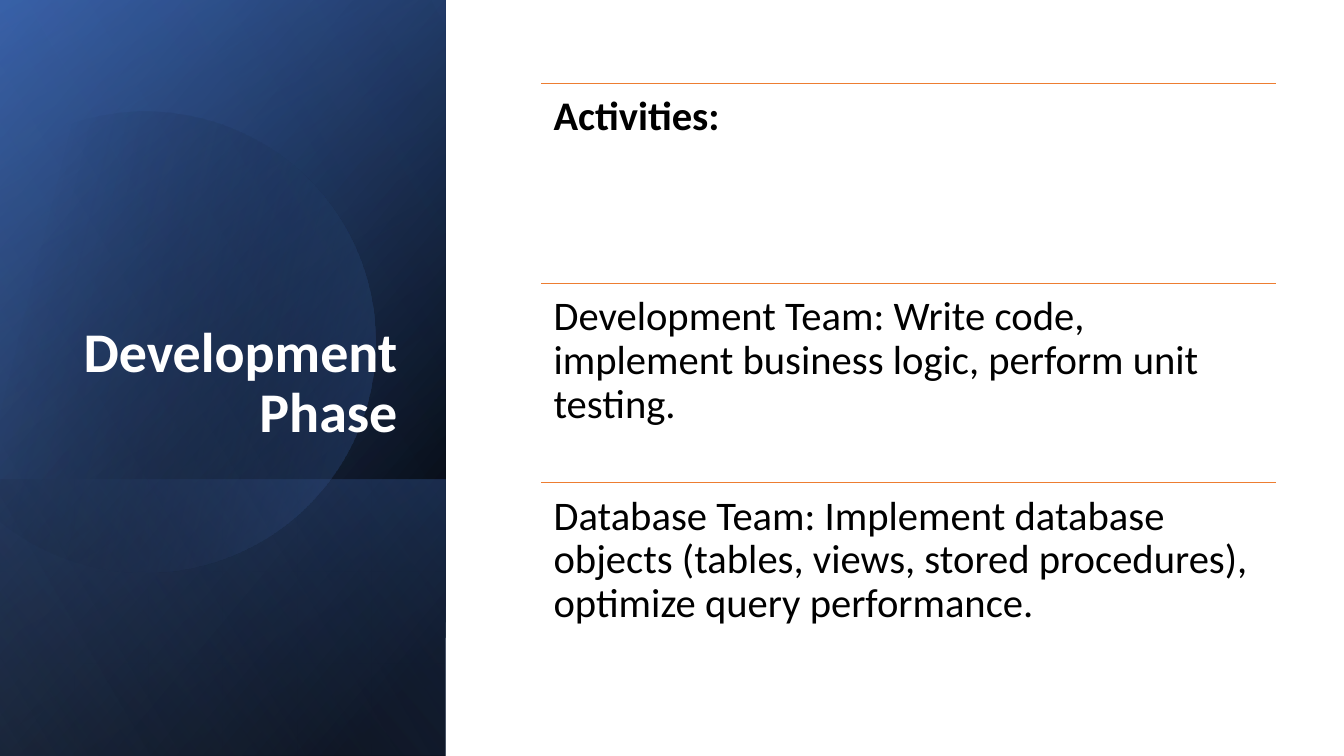
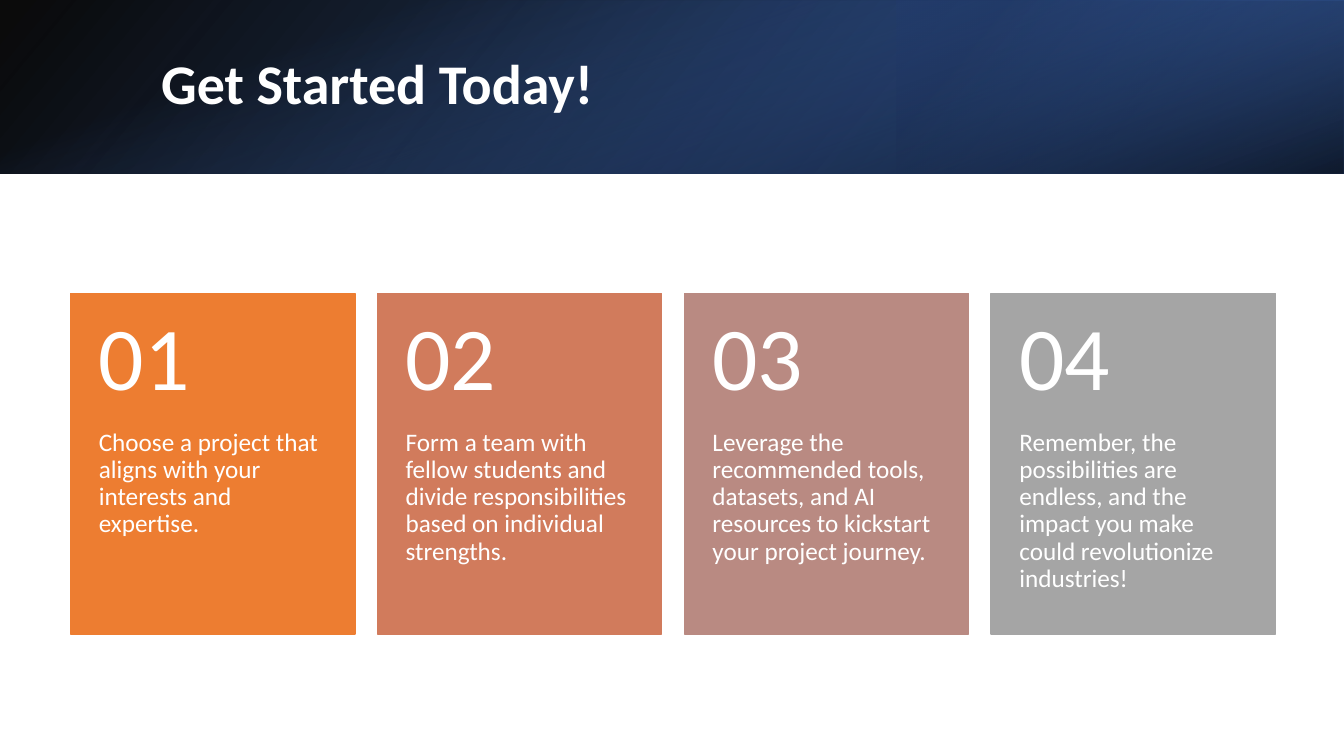
from pptx import Presentation
from pptx.dml.color import RGBColor
from pptx.enum.shapes import MSO_CONNECTOR, MSO_SHAPE
from pptx.enum.text import MSO_ANCHOR as Anchor, PP_ALIGN as Align
from pptx.oxml import parse_xml
from pptx.oxml.ns import nsdecls, qn
from pptx.util import Inches, Pt

FONT = "Calibri"
BLACK, WHITE, ORANGE = "000000", "FFFFFF", "ED7D31"
BLUE, DARK_BLUE, NAVY, PALE_BLUE = "4472C4", "2F5597", "203864", "8FAADC"
TITLE_STYLE = {"size": 40, "color": WHITE, "bold": True}


def paint_gradient(shape, stops, angle):
    """Fill with (position, colour, opacity) stops in percent; angle is clockwise."""
    shape.shadow.inherit = False
    shape.line.fill.background()
    shape.fill.background()
    stop_xml = "".join(
        f'<a:gs pos="{position * 1000}"><a:srgbClr val="{color}">'
        f'<a:alpha val="{opacity * 1000}"/></a:srgbClr></a:gs>'
        for position, color, opacity in stops
    )
    gradient = parse_xml(
        f'<a:gradFill {nsdecls("a")} rotWithShape="1"><a:gsLst>{stop_xml}</a:gsLst>'
        f'<a:lin ang="{angle * 60000}" scaled="0"/></a:gradFill>'
    )
    properties = shape.element.spPr
    properties.replace(properties.find(qn("a:noFill")), gradient)


def add_text(page, area, text, size, color, bold=False, align=Align.LEFT,
             anchor=Anchor.TOP, insets=(0.1, 0.05, 0.1, 0.05)):
    box = page.shapes.add_textbox(*map(Inches, area))
    frame = box.text_frame
    frame.word_wrap = True
    frame.vertical_anchor = anchor
    frame.margin_left, frame.margin_top, frame.margin_right, frame.margin_bottom = map(
        Inches, insets)
    frame.text = text
    para = frame.paragraphs[0]
    para.alignment = align
    para.line_spacing = 0.9
    font = para.runs[0].font
    font.name, font.size, font.bold = FONT, Pt(size), bold
    font.color.rgb = RGBColor.from_string(color)


deck = Presentation()
deck.slide_width, deck.slide_height = Inches(13.33), Inches(7.5)
blank = deck.slide_layouts[6]
phase_page = deck.slides.add_slide(blank)
start_page = deck.slides.add_slide(blank)

# Gradient layers: page, area, rotation, flipped, stops, angle
side_panel = (-1.54, 1.54, 7.5, 4.42)
disc_area = (-0.55, 1.06, 4.27, 4.57)
layers = [
    (phase_page, side_panel, 90, True, [(8, BLACK, 100), (100, DARK_BLUE, 100)], 50),
    (phase_page, side_panel, 90, True, [(0, BLACK, 0), (99, BLUE, 46)], 30),
    (phase_page, (0.84, 3.92, 2.74, 4.42), 90, True,
     [(2, BLUE, 29), (100, BLACK, 30)], 130),
    (phase_page, disc_area, 343.9, False, [(29, BLACK, 0), (100, BLUE, 43)], 30),
    (phase_page, side_panel, 90, True, [(0, BLACK, 0), (99, PALE_BLUE, 11)], 120),
    (start_page, (0, 0, 13.33, 1.72), 0, True,
     [(0, BLACK, 96), (100, DARK_BLUE, 100)], 140),
    (start_page, (8.89, 0, 4.44, 1.72), 180, True,
     [(19, NAVY, 68), (100, BLUE, 79)], 320),
    (start_page, (5.8, -5.8, 1.72, 13.33), 90, False,
     [(23, BLUE, 0), (99, BLACK, 74)], 340),
]

for page, area, rotation, flipped, stops, angle in layers:
    left, top, width, height = map(Inches, area)
    if area == disc_area:
        outline = page.shapes.build_freeform(left, top)
        outline.add_line_segments(
            [(left + width, top), (left + width, top + height), (left, top + height)])
        layer = outline.convert_to_shape()
        # The disc is one arc, closed by a chord on the slide's left edge
        contour = next(layer.element.iter(qn("a:path")))
        for segment in list(contour):
            contour.remove(segment)
        radius = height // 2
        for segment in (
            f'<a:moveTo {nsdecls("a")}><a:pt x="{Inches(0.91)}" y="{Inches(0.27)}"/>'
            '</a:moveTo>',
            f'<a:arcTo {nsdecls("a")} wR="{radius}" hR="{radius}" '
            f'stAng="{242 * 60000}" swAng="{268 * 60000}"/>',
            f'<a:close {nsdecls("a")}/>',
        ):
            contour.append(parse_xml(segment))
    else:
        layer = page.shapes.add_shape(MSO_SHAPE.RECTANGLE, left, top, width, height)
    layer.rotation = rotation
    if flipped:
        layer.element.spPr.find(qn("a:xfrm")).set("flipH", "1")
    paint_gradient(layer, stops, angle)

# Development phase: ruled list
add_text(phase_page, (0.64, 1.84, 3.4, 2.62), "Development Phase",
         align=Align.RIGHT, anchor=Anchor.BOTTOM, **TITLE_STYLE)
activities = [
    "Activities:",
    "Development Team: Write code, implement business logic, perform unit testing.",
    "Database Team: Implement database objects (tables, views, stored procedures), "
    "optimize query performance.",
]
list_left, list_top, list_width, row_height = 5.37, 0.83, 7.29, 1.98
for index, activity in enumerate(activities):
    top = list_top + index * row_height
    rule = phase_page.shapes.add_connector(
        MSO_CONNECTOR.STRAIGHT, Inches(list_left), Inches(top),
        Inches(list_left + list_width), Inches(top))
    rule.line.color.rgb = RGBColor.from_string(ORANGE)
    rule.line.width = Pt(0.5)
    rule.element.spPr.append(parse_xml(f'<a:effectLst {nsdecls("a")}/>'))
    add_text(phase_page, (list_left, top, list_width, row_height), activity, 29, BLACK,
             bold=index == 0, insets=(0.12, 0.12, 0.12, 0.12))

# Get started: numbered cards
add_text(start_page, (1.5, 0.38, 10.98, 0.96), "Get Started Today!",
         anchor=Anchor.MIDDLE, **TITLE_STYLE)
steps = [
    (ORANGE, "Choose a project that aligns with your interests and expertise."),
    ("D17B5C", "Form a team with fellow students and divide responsibilities based on "
               "individual strengths."),
    ("B98A82", "Leverage the recommended tools, datasets, and AI resources to kickstart "
               "your project journey."),
    ("A5A5A5", "Remember, the possibilities are endless, and the impact you make could "
               "revolutionize industries!"),
]
cards_left, cards_right, card_top = 0.7, 12.65, 2.91
card_width, card_height, number_height = 2.82, 3.38, 1.35
card_pitch = (cards_right - cards_left - card_width) / (len(steps) - 1)
for index, (color, step) in enumerate(steps):
    left = cards_left + index * card_pitch
    card = start_page.shapes.add_shape(
        MSO_SHAPE.RECTANGLE, Inches(left), Inches(card_top),
        Inches(card_width), Inches(card_height))
    card.shadow.inherit = False
    card.fill.solid()
    card.fill.fore_color.rgb = card.line.color.rgb = RGBColor.from_string(color)
    card.line.width = Pt(1)
    add_text(start_page,
             (left, card_top + number_height, card_width, card_height - number_height),
             step, 18, WHITE, insets=(0.28, 0, 0.28, 0.36))
    add_text(start_page, (left, card_top, card_width, number_height), f"{index + 1:02}",
             64, WHITE, anchor=Anchor.MIDDLE, insets=(0.28, 0.18, 0.28, 0.18))

deck.save("out.pptx")
